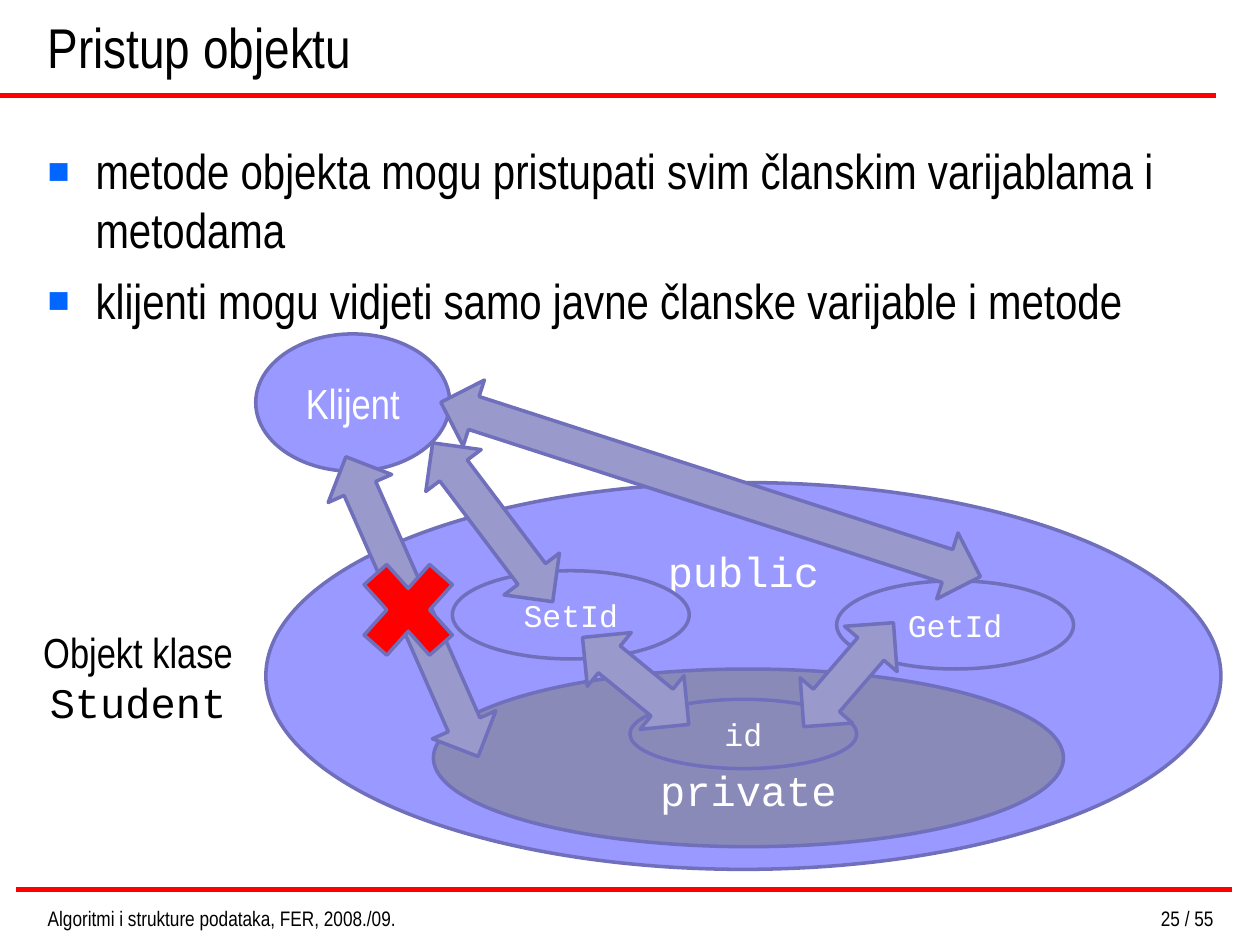
"""Build the slide about access to an object's members."""
from dataclasses import dataclass

import pptx
import pptx.dml.color
import pptx.enum.shapes
import pptx.enum.text
import pptx.oxml.ns
import pptx.util
from lxml import etree
from pptx.util import Inches

SHAPE = pptx.enum.shapes.MSO_SHAPE
ALIGN = pptx.enum.text.PP_ALIGN
ANCHOR = pptx.enum.text.MSO_ANCHOR


@dataclass(frozen=True)
class Theme:
    """Fonts, colours and type sizes of the slide."""
    sans: str = "Arial Narrow"
    mono: str = "Courier New"
    black: str = "000000"
    white: str = "FFFFFF"
    red: str = "FF0000"
    bullet: str = "0066FF"
    public: str = "9999FF"
    private: str = "8A8AB9"
    arrow: str = "9999CC"
    outline: str = "6F6FBC"
    title: int = 32
    body: int = 28
    label: int = 24
    member: int = 18
    footer: int = 12
    rule_width: int = 3
    outline_width: int = 2


THEME = Theme()


def rgb(value):
    """Turn a hex string into a colour."""
    return pptx.dml.color.RGBColor.from_string(value)


def style_span(span, font, size, color):
    """Set the font, size and colour of a run."""
    span.font.name = font
    span.font.size = pptx.util.Pt(size)
    span.font.color.rgb = rgb(color)


def style_shape(shape, fill):
    """Give a shape its fill and outline without a shadow."""
    shape.shadow.inherit = False
    shape.fill.solid()
    shape.fill.fore_color.rgb = rgb(fill)
    shape.line.color.rgb = rgb(THEME.outline)
    shape.line.width = pptx.util.Pt(THEME.outline_width)


def add_rule(page, left, right, top):
    """Draw a horizontal red line."""
    rule = page.shapes.add_connector(
        pptx.enum.shapes.MSO_CONNECTOR.STRAIGHT,
        Inches(left), Inches(top), Inches(right), Inches(top))
    rule.line.color.rgb = rgb(THEME.red)
    rule.line.width = pptx.util.Pt(THEME.rule_width)
    etree.SubElement(rule._element.spPr, pptx.oxml.ns.qn("a:effectLst"))


def add_text(page, place, spans, size, align=ALIGN.LEFT, anchor=ANCHOR.TOP):
    """Add a one-paragraph text box from (text, font) pairs."""
    box = page.shapes.add_textbox(*map(Inches, place))
    frame = box.text_frame
    frame.word_wrap = True
    frame.vertical_anchor = anchor
    paragraph = frame.paragraphs[0]
    paragraph.alignment = align
    for text, font in spans:
        span = paragraph.add_run()
        span.text = text
        style_span(span, font, size, THEME.black)


def add_bullet(paragraph):
    """Give a paragraph a hanging square bullet."""
    properties = paragraph._p.get_or_add_pPr()
    properties.set("marL", str(Inches(0.38)))
    properties.set("indent", str(-Inches(0.38)))
    qn = pptx.oxml.ns.qn
    color = etree.SubElement(properties, qn("a:buClr"))
    etree.SubElement(color, qn("a:srgbClr"), val=THEME.bullet)
    etree.SubElement(properties, qn("a:buSzPct"), val="75000")
    etree.SubElement(properties, qn("a:buFont"), typeface="Arial")
    etree.SubElement(properties, qn("a:buChar"), char="■")


def add_bullets(page, place, lines):
    """Add the bulleted body text."""
    box = page.shapes.add_textbox(*map(Inches, place))
    frame = box.text_frame
    frame.word_wrap = True
    frame.text = "\n".join(lines)
    for index, paragraph in enumerate(frame.paragraphs):
        add_bullet(paragraph)
        if index:
            paragraph.space_before = pptx.util.Pt(7)
        style_span(paragraph.runs[0], THEME.sans, THEME.body, THEME.black)


def add_ellipse(page, place, text, fill, size, font=THEME.mono, anchor=ANCHOR.MIDDLE):
    """Add a labelled ellipse."""
    ellipse = page.shapes.add_shape(SHAPE.OVAL, *map(Inches, place))
    style_shape(ellipse, fill)
    frame = ellipse.text_frame
    frame.text = text
    frame.vertical_anchor = anchor
    frame.paragraphs[0].alignment = ALIGN.CENTER
    style_span(frame.paragraphs[0].runs[0], font, size, THEME.white)


def add_arrow(page, left, top, length, angle):
    """Add a rotated double-headed arrow."""
    arrow = page.shapes.add_shape(
        SHAPE.LEFT_RIGHT_ARROW, *map(Inches, (left, top, length, 0.55)))
    arrow.rotation = angle
    style_shape(arrow, THEME.arrow)


def add_cross(page, x, y):
    """Draw the red cross around its centre."""
    corner = [(-0.35, -0.2), (-0.17, -0.36), (0, -0.17)]
    right = [(-dx, dy) for dx, dy in corner[1::-1]] + [(0.17, 0)]
    half = corner + right
    offsets = half + [(-dx, -dy) for dx, dy in half]
    points = [(Inches(x + dx), Inches(y + dy)) for dx, dy in offsets]
    builder = page.shapes.build_freeform(*points[0])
    builder.add_line_segments(points[1:], close=True)
    style_shape(builder.convert_to_shape(), THEME.red)


def main():
    """Build and save the slide."""
    deck = pptx.Presentation()
    deck.slide_width, deck.slide_height = Inches(10), Inches(7.5)
    page = deck.slides.add_slide(deck.slide_layouts[6])

    add_rule(page, 0, 9.65, 0.76)
    add_rule(page, 0.13, 9.78, 7.06)
    add_text(page, (0.28, 0, 8.83, 0.68), [("Pristup objektu", THEME.sans)],
             THEME.title, anchor=ANCHOR.BOTTOM)
    add_bullets(page, (0.28, 1.07, 9.45, 5.83), [
        "metode objekta mogu pristupati svim članskim varijablama i metodama",
        "klijenti mogu vidjeti samo javne članske varijable i metode"])

    add_ellipse(page, (2.11, 3.83, 7.58, 3.07), "public", THEME.public,
                THEME.label, anchor=ANCHOR.TOP)
    add_ellipse(page, (3.44, 5.31, 5, 1.41), "private", THEME.private,
                THEME.label, anchor=ANCHOR.BOTTOM)
    add_ellipse(page, (3.59, 4.53, 1.88, 0.7), "SetId", THEME.public, THEME.member)
    add_ellipse(page, (6.64, 4.61, 1.88, 0.7), "GetId", THEME.public, THEME.member)
    add_ellipse(page, (5, 5.55, 1.8, 0.55), "id", THEME.private, THEME.member)
    add_arrow(page, 4.5, 5.13, 1.09, 39.3)
    add_arrow(page, 6.19, 5.08, 1.09, 130.8)
    add_ellipse(page, (2.03, 2.65, 1.54, 1.09), "Klijent", THEME.public,
                THEME.label, THEME.sans)
    add_arrow(page, 3.39, 3.61, 4.5, 17.9)
    add_arrow(page, 1.97, 4.54, 2.6, 66.2)
    add_cross(page, 3.24, 4.84)
    add_text(page, (0, 4.92, 2.19, 0.9),
             [("Objekt klase ", THEME.sans), ("Student", THEME.mono)],
             THEME.label, ALIGN.CENTER)
    add_arrow(page, 3.12, 3.87, 1.58, 52.9)

    add_text(page, (0.28, 7.14, 3.49, 0.24),
             [("Algoritmi i strukture podataka, FER, 2008./09.", THEME.sans)],
             THEME.footer)
    add_text(page, (7.17, 7.14, 2.56, 0.24), [("25 / 55", THEME.sans)],
             THEME.footer, ALIGN.RIGHT)
    deck.save("out.pptx")


if __name__ == "__main__":
    main()
